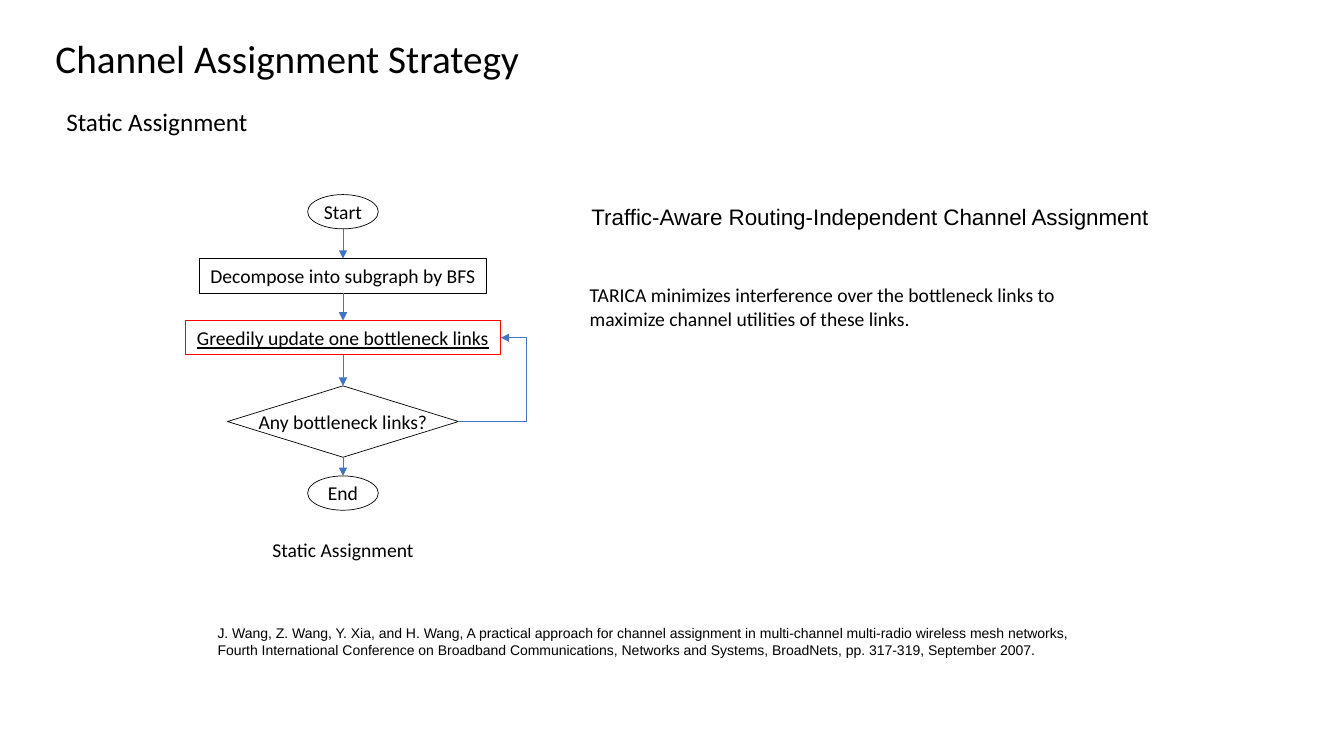
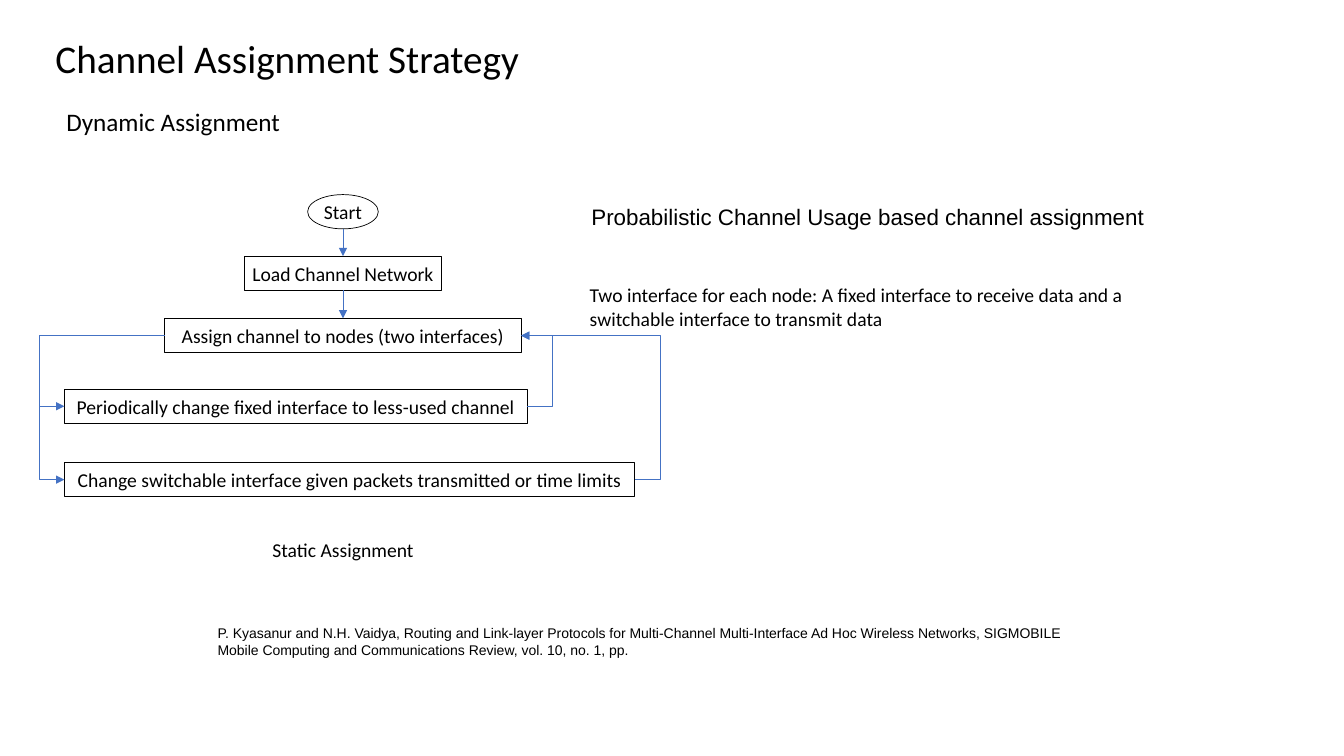
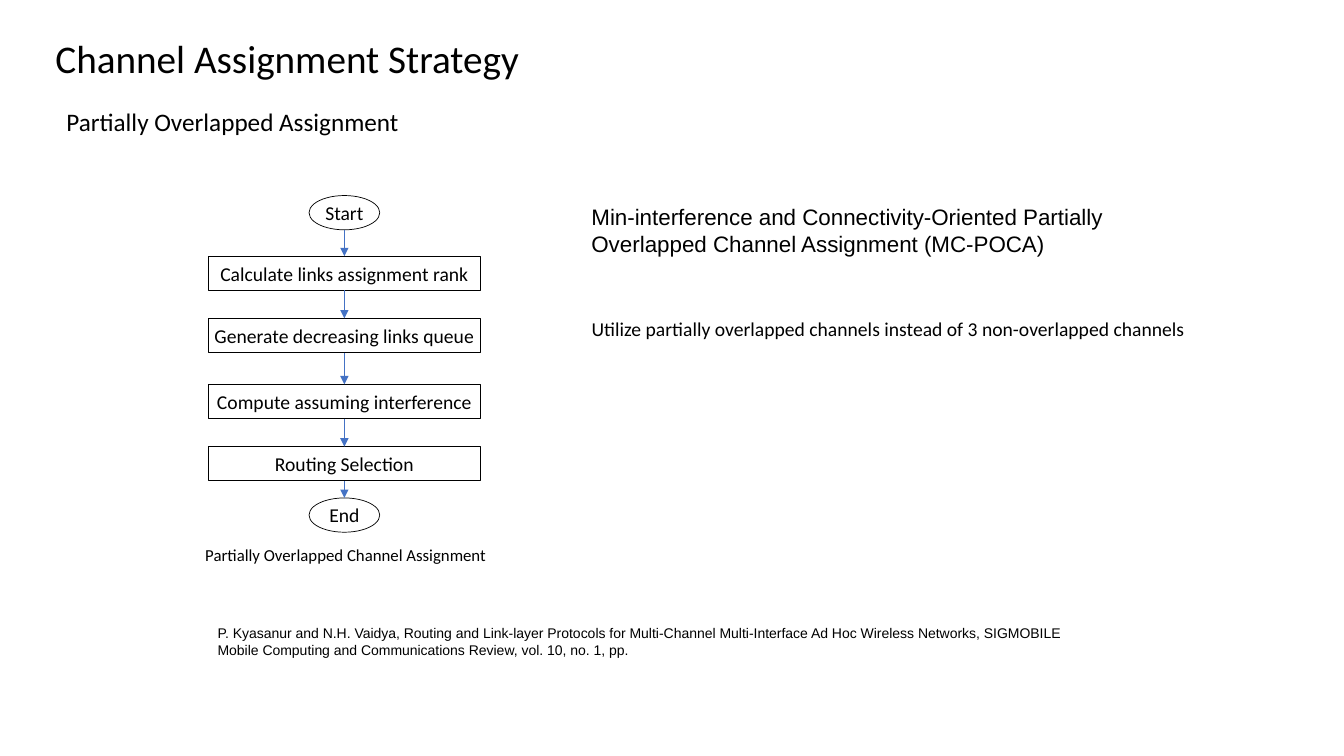
from dataclasses import dataclass

from lxml.etree import SubElement
from pptx import Presentation
from pptx.dml.color import RGBColor
from pptx.enum.shapes import MSO_CONNECTOR as Route, MSO_SHAPE as Preset
from pptx.enum.text import MSO_ANCHOR as Anchor, MSO_AUTO_SIZE as AutoSize, PP_ALIGN as Align
from pptx.oxml.ns import qn
from pptx.util import Pt

COLORS = {"ink": "000000", "alert": "FF0000", "arrow": "4472C4"}
NODE_HEIGHT = 24.5
TERMINAL_WIDTH = 50.5
TITLE = "Channel Assignment Strategy"
PROTOCOL_REFERENCE = (
    "P. Kyasanur and N.H. Vaidya, Routing and Link-layer Protocols for "
    "Multi-Channel Multi-Interface Ad Hoc Wireless Networks, SIGMOBILE "
    "Mobile Computing and Communications Review, vol. 10, no. 1, pp."
)


@dataclass(frozen=True)
class Node:
    text: str
    center: float
    top: float
    width: float = TERMINAL_WIDTH
    height: float = NODE_HEIGHT
    preset: int = Preset.RECTANGLE
    color: str = "ink"
    weight: float = 0.5
    underline: bool = False

    @property
    def middle(self) -> float:
        return self.top + self.height / 2

    @property
    def bottom(self) -> float:
        return self.top + self.height

    def side(self, sign: int) -> float:
        return self.center + sign * self.width / 2


@dataclass(frozen=True)
class Loop:
    source: int
    target: int
    sign: int
    lane: float


@dataclass(frozen=True)
class Caption:
    text: str
    center: float
    top: float
    size: float = 14


@dataclass(frozen=True)
class Strategy:
    heading: str
    method: str
    summary: list[str]
    summary_left: float
    summary_top: float
    nodes: list[Node]
    chain: int
    loops: list[Loop]
    caption: Caption
    reference: str


def terminal(text: str, center: float, top: float) -> Node:
    return Node(text, center, top, preset=Preset.OVAL)


def rgb(name: str) -> RGBColor:
    return RGBColor.from_string(COLORS[name])


def fill_text(shape, texts: list[str], size: float, face: str = "Calibri",
              align: int = Align.LEFT, anchor: int = Anchor.TOP,
              wrap: bool = True, underline: bool = False,
              plain: bool = False) -> None:
    frame = shape.text_frame
    frame.text = "\n".join(texts)
    frame.word_wrap = wrap
    frame.auto_size = AutoSize.NONE
    frame.vertical_anchor = anchor
    for para in frame.paragraphs:
        para.alignment = align
        if plain:
            para.space_before = Pt(0)
            properties = para._p.get_or_add_pPr()
            properties.set("marL", "0")
            properties.set("indent", "0")
            SubElement(properties, qn("a:buNone"))
        font = para.font
        font.name, font.size = face, Pt(size)
        font.color.rgb = rgb("ink")
        if underline:
            font.underline = True


def place(shape, left: float, top: float, width: float, height: float) -> None:
    shape.left, shape.top = Pt(left), Pt(top)
    shape.width, shape.height = Pt(width), Pt(height)


def add_text(page, text: str, left: float, top: float, width: float, height: float,
             size: float, face: str = "Calibri", align: int = Align.LEFT) -> None:
    box = page.shapes.add_textbox(Pt(left), Pt(top), Pt(width), Pt(height))
    fill_text(box, [text], size, face, align)


def add_node(page, node: Node) -> None:
    shape = page.shapes.add_shape(node.preset, Pt(node.side(-1)), Pt(node.top),
                                  Pt(node.width), Pt(node.height))
    shape.shadow.inherit = False
    shape.fill.background()
    shape.line.color.rgb = rgb(node.color)
    shape.line.width = Pt(node.weight)
    frame = shape.text_frame
    frame.margin_left = frame.margin_right = frame.margin_top = frame.margin_bottom = 0
    fill_text(shape, [node.text], 14, align=Align.CENTER, anchor=Anchor.MIDDLE,
              wrap=False, underline=node.underline)


def add_arrow(page, route: int, start: tuple[float, float], end: tuple[float, float]):
    arrow = page.shapes.add_connector(route, *map(Pt, start + end))
    arrow.line.color.rgb = rgb("arrow")
    arrow.line.width = Pt(0.5)
    properties = arrow._element.spPr
    SubElement(properties.find(qn("a:ln")), qn("a:tailEnd"), type="triangle")
    SubElement(properties, qn("a:effectLst"))
    return arrow


def add_loop(page, source: Node, target: Node, loop: Loop) -> None:
    start = source.side(loop.sign), source.middle
    end = target.side(loop.sign), target.middle
    arrow = add_arrow(page, Route.ELBOW, start, end)
    bend = round(100000 * (loop.lane - start[0]) / (end[0] - start[0]))
    geometry = arrow._element.spPr.find(qn("a:prstGeom"))
    guides = geometry.find(qn("a:avLst"))
    if guides is None:
        guides = SubElement(geometry, qn("a:avLst"))
    SubElement(guides, qn("a:gd"), name="adj1", fmla=f"val {bend}")


def add_strategy(deck, strategy: Strategy) -> None:
    page = deck.slides.add_slide(deck.slide_layouts[1])
    title, body = page.shapes.title, page.placeholders[1]
    place(title, 32.4, 21, 349, 41)
    fill_text(title, [TITLE], 28, anchor=Anchor.MIDDLE, wrap=False)
    place(body, strategy.summary_left, strategy.summary_top, 447, 58)
    fill_text(body, strategy.summary, 14, plain=True)

    add_text(page, strategy.heading, 40.3, 72.7, 332, 29, 18)
    add_text(page, strategy.method, 415.4, 141.8, 454, 46, 16, "Arial")
    add_text(page, strategy.reference, 148.3, 442.8, 646, 32, 10, "Arial")
    caption = strategy.caption
    add_text(page, caption.text, caption.center - 120, caption.top, 240, 24.5,
             caption.size, align=Align.CENTER)

    for node in strategy.nodes:
        add_node(page, node)
    chained = strategy.nodes[:strategy.chain]
    for upper, lower in zip(chained, chained[1:]):
        add_arrow(page, Route.STRAIGHT, (upper.center, upper.bottom), (lower.center, lower.top))
    for loop in strategy.loops:
        add_loop(page, strategy.nodes[loop.source], strategy.nodes[loop.target], loop)


STRATEGIES = [
    Strategy(
        heading="Static Assignment",
        method="Traffic-Aware Routing-Independent Channel Assignment",
        summary=["TARICA minimizes interference over the bottleneck links to",
                 "maximize channel utilities of these links."],
        summary_left=414, summary_top=198.7,
        nodes=[
            terminal("Start", 245, 139),
            Node("Decompose into subgraph by BFS", 245, 184.8, 205),
            Node("Greedily update one bottleneck links", 245, 229, 225.5,
                 color="alert", underline=True),
            Node("Any bottleneck links?", 245, 275.6, 165, 51, Preset.DIAMOND),
            terminal("End", 245, 340),
        ],
        chain=5,
        loops=[Loop(3, 2, 1, 376)],
        caption=Caption("Static Assignment", 245, 380.9),
        reference="J. Wang, Z. Wang, Y. Xia, and H. Wang, A practical approach for channel "
                  "assignment in multi-channel multi-radio wireless mesh networks, Fourth "
                  "International Conference on Broadband Communications, Networks and "
                  "Systems, BroadNets, pp. 317-319, September 2007.",
    ),
    Strategy(
        heading="Dynamic Assignment",
        method="Probabilistic Channel Usage based channel assignment",
        summary=["Two interface for each node: A fixed interface to receive data and a "
                 "switchable interface to transmit data"],
        summary_left=414, summary_top=198.7,
        nodes=[
            terminal("Start", 245, 139),
            Node("Load Channel Network", 245, 183, 140.5),
            Node("Assign channel to nodes (two interfaces)", 245, 227.5, 254.5),
            Node("Periodically change fixed interface to less-used channel",
                 211.25, 278, 330.5, weight=0.75),
            Node("Change switchable interface given packets transmitted or time limits",
                 249.75, 330.3, 407.5, weight=0.75),
        ],
        chain=3,
        loops=[Loop(2, 3, -1, 28), Loop(2, 4, -1, 28),
               Loop(4, 2, 1, 471.5), Loop(3, 2, 1, 394.5)],
        caption=Caption("Static Assignment", 245, 380.9),
        reference=PROTOCOL_REFERENCE,
    ),
    Strategy(
        heading="Partially Overlapped Assignment",
        method="Min-interference and Connectivity-Oriented Partially Overlapped "
               "Channel Assignment (MC-POCA)",
        summary=["Utilize partially overlapped channels instead of 3 non-overlapped channels"],
        summary_left=415.4, summary_top=222.5,
        nodes=[
            terminal("Start", 246, 139.7),
            Node("Calculate links assignment rank", 246, 183, 194.5),
            Node("Generate decreasing links queue", 246, 227.5, 194.5),
            Node("Compute assuming interference", 246, 274.5, 194.5),
            Node("Routing Selection", 246, 319, 194.5),
            terminal("End", 246, 355.7),
        ],
        chain=6,
        loops=[],
        caption=Caption("Partially Overlapped Channel Assignment", 247, 385.9, 12),
        reference=PROTOCOL_REFERENCE,
    ),
]


def main() -> None:
    deck = Presentation()
    deck.slide_width, deck.slide_height = Pt(960), Pt(540)
    for strategy in STRATEGIES:
        add_strategy(deck, strategy)
    deck.save("out.pptx")


if __name__ == "__main__":
    main()
